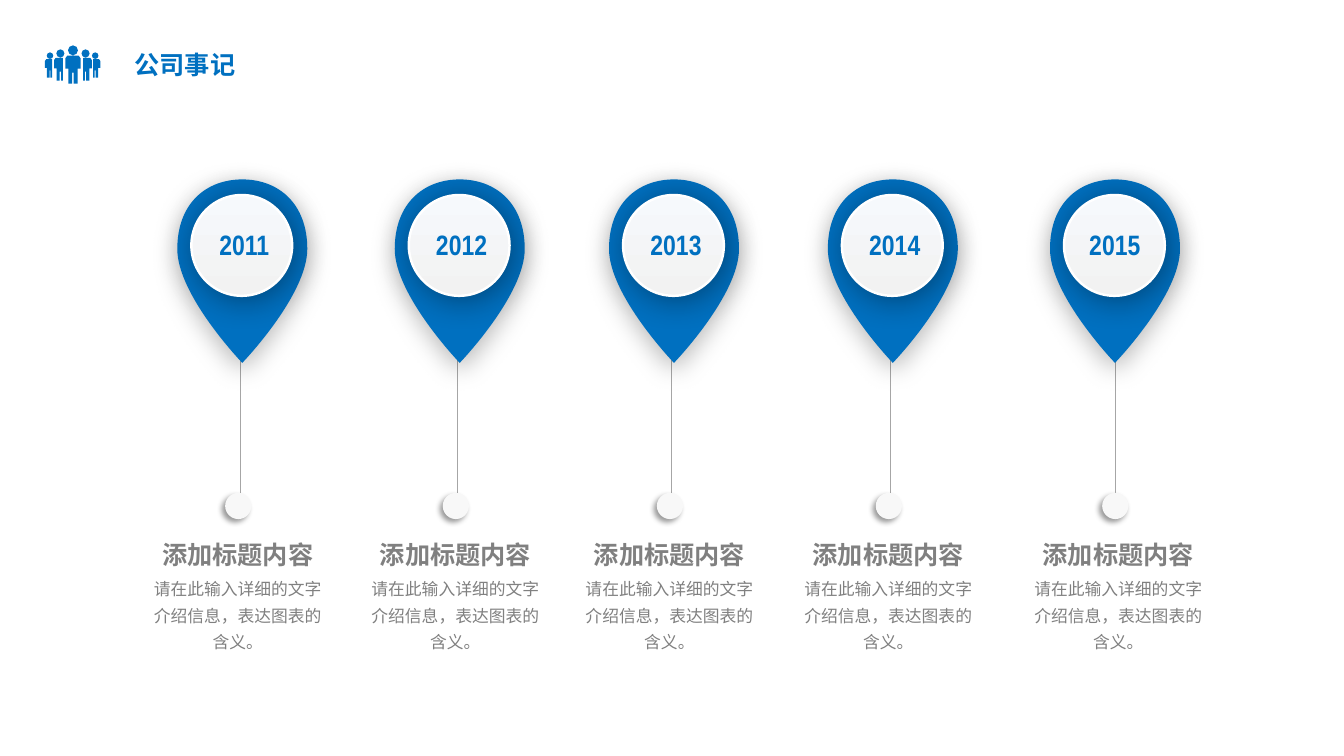
from dataclasses import dataclass
from itertools import takewhile

from lxml import etree
from pptx import Presentation
from pptx.dml.color import RGBColor
from pptx.enum.shapes import MSO_CONNECTOR, MSO_SHAPE
from pptx.enum.text import MSO_ANCHOR, MSO_AUTO_SIZE, PP_ALIGN
from pptx.oxml.ns import qn
from pptx.util import Inches, Pt

OVAL, LINE = MSO_SHAPE.OVAL, MSO_CONNECTOR.STRAIGHT
TOP, MIDDLE = MSO_ANCHOR.TOP, MSO_ANCHOR.MIDDLE
LEFT, CENTER = PP_ALIGN.LEFT, PP_ALIGN.CENTER
GROW = MSO_AUTO_SIZE.SHAPE_TO_FIT_TEXT
COLS, ROWS = 133.4, 75  # grid cells of a tenth of an inch


@dataclass(frozen=True)
class Theme:
    blue: str = "0070C0"
    gray: str = "808080"
    stem: str = "A6A6A6"
    dot: str = "F8F8F8"
    white: str = "FFFFFF"
    face: tuple = ("F6F9FC", "F2F2F2")
    sans: str = "Noto Sans CJK SC"
    slim: str = "Arial Narrow"
    head: int = 18
    year: int = 20
    note: int = 12


THEME = Theme()
HEAD = "添加标题内容"
NOTE = "请在此输入详细的文字介绍信息，表达图表的含义。"
# year, middle column of the pin, of the dot, and of the text
EVENTS = [
    ("2011", 24.05, 23.65, 23.6),
    ("2012", 45.63, 45.25, 45.2),
    ("2013", 66.9, 66.5, 66.45),
    ("2014", 88.62, 88.23, 88.17),
    ("2015", 110.67, 110.7, 111),
]
# middle column, top row, height, side that is cut off (0 for none)
PEOPLE = [(4.97, 5.2, 2.5, 1), (6, 4.9, 3.1, 1), (7.25, 4.5, 3.8, 0),
          (8.5, 4.9, 3.1, -1), (9.46, 5.2, 2.5, -1)]
# right half of a body, in shares of a person's height
BODY = [(0.15, 0.27), (0.2, 0.34), (0.2, 0.61), (0.12, 0.61),
        (0.12, 1), (0.02, 1), (0.02, 0.71)]
# right half of a pin from its top to its tip, and a quarter of a circle
DROP = [(0, 17.8), (3.6, 17.8), (6.45, 20.2), (6.45, 24.7),
        (6.45, 29.3), (0, 36), (0, 36)]
ROUND = [(0, -1), (0.55, -1), (1, -0.55), (1, 0),
         (1, 0.55), (0.55, 1), (0, 1)]


def cell(count):
    return Inches(count / 10)


def rgb(code):
    return RGBColor.from_string(code)


def cast(shape, alpha, blur, dist, turn):
    """Give the shape an outer shadow: percent, points, points, degrees."""
    shape.shadow.inherit = False
    effects = shape._element.spPr.find(qn("a:effectLst"))
    outer = etree.SubElement(
        effects, qn("a:outerShdw"), blurRad=str(Pt(blur)), dist=str(Pt(dist)),
        dir=str(turn * 60000), algn="ctr", rotWithShape="0")
    tone = etree.SubElement(outer, qn("a:srgbClr"), val="000000")
    etree.SubElement(tone, qn("a:alpha"), val=str(alpha * 1000))


def write(box, text, size, color, font=THEME.sans, bold=True, align=CENTER,
          anchor=TOP, wrap=False, space=1.0):
    frame = box.text_frame
    frame.word_wrap = wrap
    frame.auto_size = GROW
    frame.vertical_anchor = anchor
    para = frame.paragraphs[0]
    para.alignment = align
    para.line_spacing = space
    run = para.add_run()
    run.text = text
    run.font.size, run.font.bold, run.font.name = Pt(size), bold, font
    run.font.color.rgb = rgb(color)
    etree.SubElement(run.font._element, qn("a:ea"), typeface=font)


def label(slide, mid, top, wide, high, text, **style):
    box = slide.shapes.add_textbox(
        cell(mid - wide / 2), cell(top), cell(wide), cell(high))
    write(box, text, **style)


def disc(slide, mid, top, size):
    shape = slide.shapes.add_shape(
        OVAL, cell(mid - size / 2), cell(top), cell(size), cell(size))
    shape.line.fill.background()
    return shape


def bend(move):
    """Turn the lines after a move, three by three, into cubic curves."""
    lines = list(takewhile(lambda node: node.tag == qn("a:lnTo"),
                           move.itersiblings()))
    for first in range(0, len(lines), 3):
        arc = etree.Element(qn("a:cubicBezTo"))
        lines[first].addprevious(arc)
        for line in lines[first:first + 3]:
            arc.append(line[0])
            line.getparent().remove(line)


def outline(slide, loops, color):
    """Draw closed loops, each a curved flag and grid points, as one shape."""
    pen = None
    for _, loop in loops:
        start, *rest = [(cell(x), cell(y)) for x, y in loop]
        if pen is None:
            pen = slide.shapes.build_freeform(*start)
        else:
            pen.move_to(*start)
        pen.add_line_segments(rest, close=True)
    shape = pen.convert_to_shape()
    moves = list(shape._element.iter(qn("a:moveTo")))
    for move, (curved, _) in zip(moves, loops):
        if curved:
            bend(move)
    shape.fill.solid()
    shape.fill.fore_color.rgb = rgb(color)
    shape.line.fill.background()
    shape.shadow.inherit = False
    return shape


def mirror(half):
    """Close a right half, from top to bottom, with its left half."""
    return half + [(-x, y) for x, y in half[-2::-1]]


def person(mid, top, high, cut):
    """Return the loops for a head and a body."""
    size = 0.13 * high
    head = [(mid + x * size, top + size + y * size) for x, y in mirror(ROUND)]
    body = []
    for x, y in mirror(BODY + [(0, 0.71)])[:-1] + [(-0.15, 0.27)]:
        if x * cut > 0:
            x = cut * min(abs(x), 0.08)
        body.append((mid + x * high, top + y * high))
    return [(True, head), (False, body)]


def pin(slide, mid):
    drop = [(mid + x, y) for x, y in mirror(DROP)]
    cast(outline(slide, [(True, drop)], THEME.blue), 28, 19, 5, 90)
    face = disc(slide, mid - 0.05, 19.35, 10)
    face.fill.gradient()
    face.fill.gradient_angle = 270
    for place, (stop, tone) in enumerate(
            zip(face.fill.gradient_stops, THEME.face)):
        stop.position = place
        stop.color.rgb = rgb(tone)
    face.line.color.rgb = rgb(THEME.white)
    face.line.width = Pt(1.75)
    cast(face, 39, 24, 3, 45)


def stem(slide, mid):
    line = slide.shapes.add_connector(
        LINE, cell(mid), cell(35.1), cell(mid), cell(50.9))
    line.line.color.rgb = rgb(THEME.stem)
    line.line.width = Pt(0.75)
    etree.SubElement(line._element.spPr, qn("a:effectLst"))


def event(slide, year, mid, base, note):
    lean = (mid - base) / 2
    stem(slide, base + lean)
    pin(slide, mid)
    label(slide, mid + lean, 22.1, 7.4, 4.4, year, size=THEME.year,
          color=THEME.blue, font=THEME.slim)
    dot = disc(slide, base, 48.9, 2.6)
    dot.fill.solid()
    dot.fill.fore_color.rgb = rgb(THEME.dot)
    cast(dot, 40, 4, 3, 135)
    label(slide, note, 53, 17.2, 4, HEAD, size=THEME.head, color=THEME.gray)
    label(slide, note, 56.3, 20, 8.9, NOTE, size=THEME.note, bold=False,
          color=THEME.gray, anchor=MIDDLE, wrap=True, space=1.3)


def main():
    deck = Presentation()
    deck.slide_width, deck.slide_height = cell(COLS), cell(ROWS)
    slide = deck.slides.add_slide(deck.slide_layouts[5])
    title = slide.shapes.title
    title.left, title.top = cell(12.35), cell(4.4)
    title.width, title.height = cell(12.1), cell(4)
    write(title, "公司事记", size=THEME.head, color=THEME.blue, align=LEFT)
    crowd = [loop for one in PEOPLE for loop in person(*one)]
    outline(slide, crowd, THEME.blue)
    for item in EVENTS:
        event(slide, *item)
    deck.save("out.pptx")


if __name__ == "__main__":
    main()
